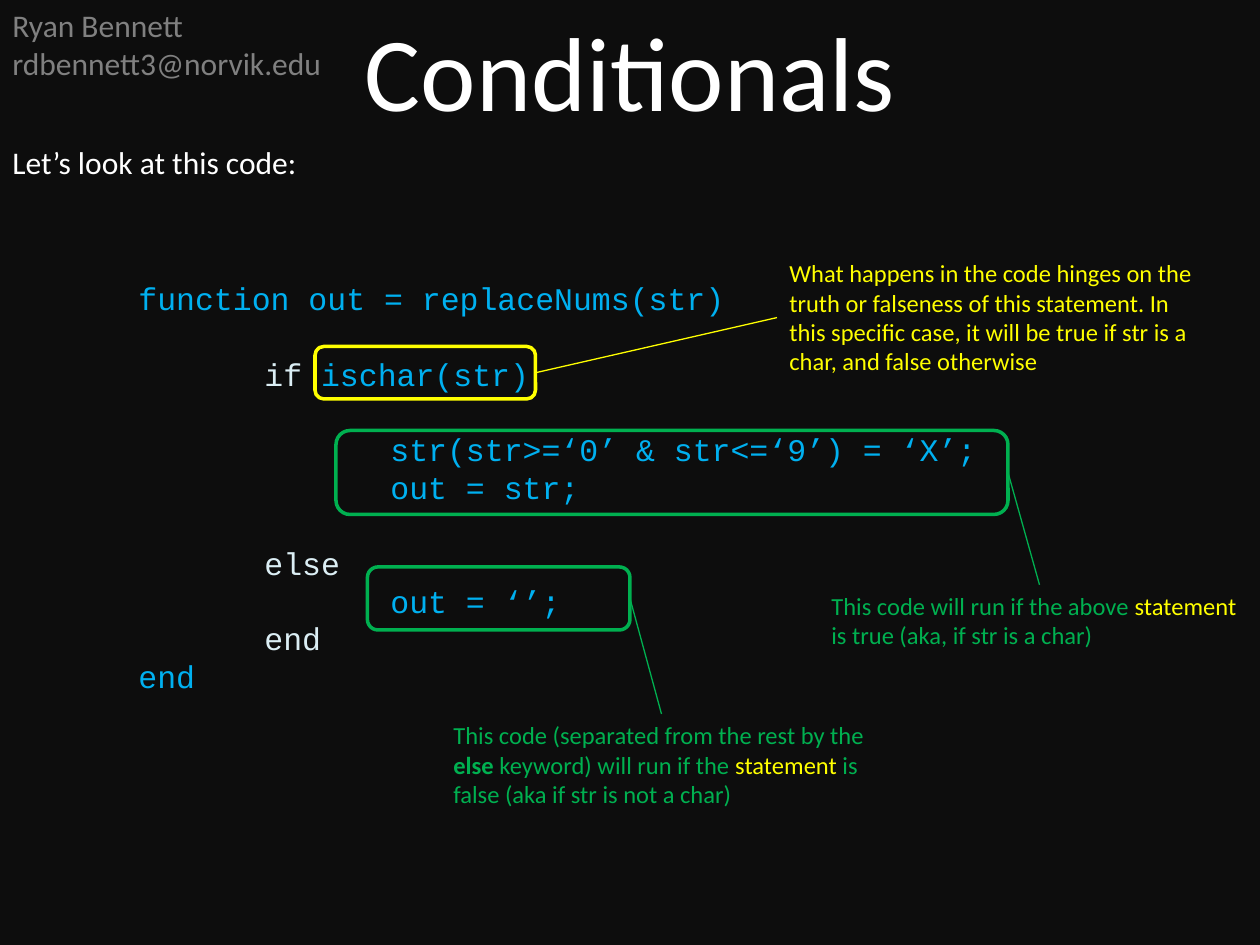
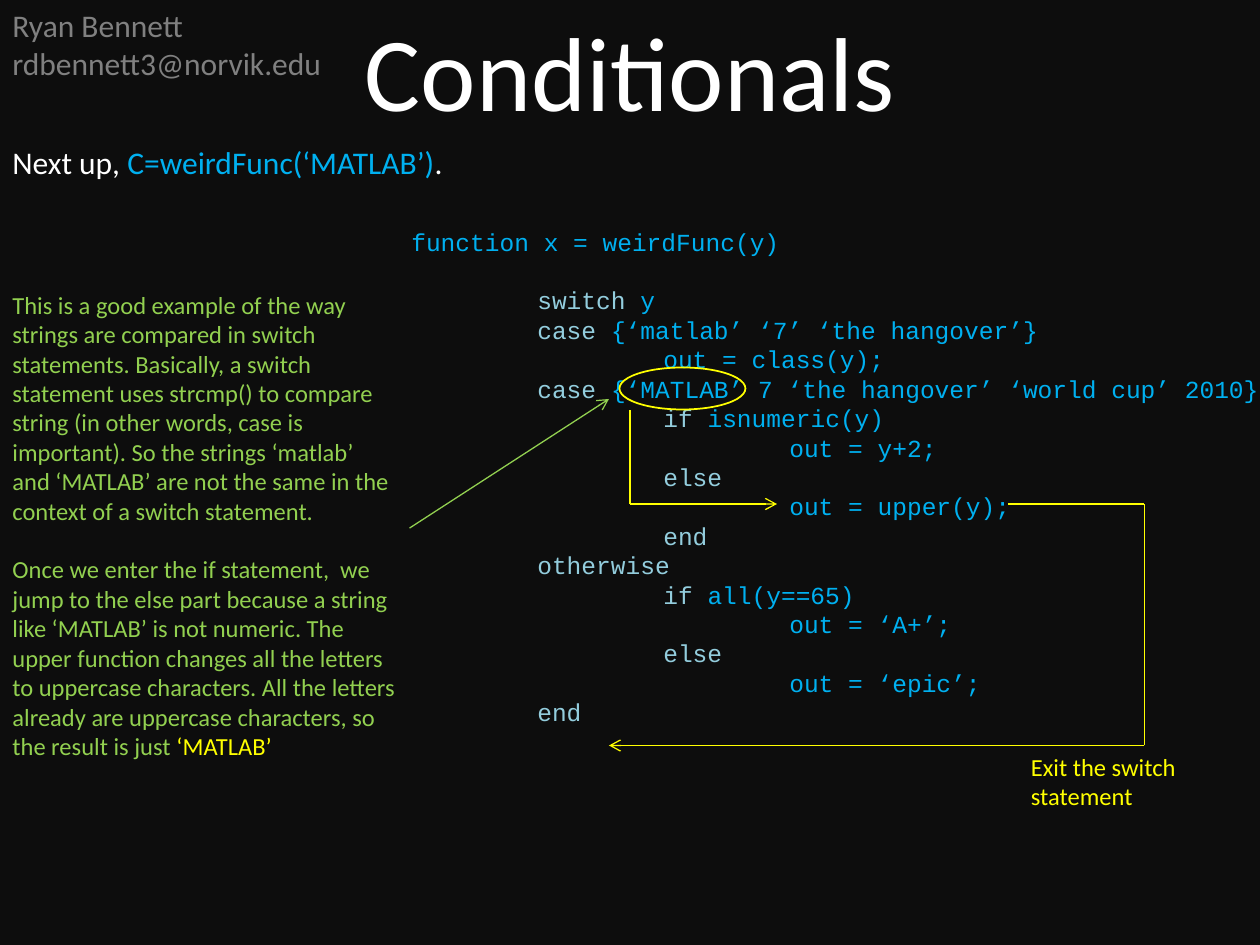
from dataclasses import dataclass

from lxml import etree
from pptx import Presentation
from pptx import util as u
from pptx.dml.color import RGBColor
from pptx.enum import shapes, text
from pptx.oxml import ns

# Grid: 12 columns and 12 rows to the inch
COLS, ROWS = 120, 90
CELL = u.Inches(10) / COLS

# Colours
BACKGROUND = RGBColor(0x0D, 0x0D, 0x0D)
GREY = RGBColor(0x80, 0x80, 0x80)
WHITE = RGBColor(0xFF, 0xFF, 0xFF)
YELLOW = RGBColor(0xFF, 0xFF, 0x00)
GREEN = RGBColor(0x00, 0xB0, 0x50)
LIME = RGBColor(0x92, 0xD0, 0x50)
CODE_BLUE = RGBColor(0x00, 0xB0, 0xF0)
PALE_BLUE = RGBColor(0xDB, 0xEE, 0xF4)
SOFT_BLUE = RGBColor(0x93, 0xCD, 0xDD)

BODY, MONO = "Calibri", "Courier New"
LINE_HEIGHT = 1.2
TAB_STEP, TAB_DEPTH = 12, 3  # columns per code level, deepest level


@dataclass
class Run:
    text: str
    color: RGBColor
    bold: bool = False


@dataclass
class Para:
    runs: list[Run]
    gap: bool = False  # leaves one line free above


@dataclass
class CodeLine:
    depth: int
    keyword: str = ""
    code: str = ""
    gap: bool = False


@dataclass
class Frame:
    kind: shapes.MSO_SHAPE
    box: tuple[float, float, float, float]
    color: RGBColor
    weight: float


@dataclass
class Line:
    start: tuple[float, float]
    end: tuple[float, float]
    color: RGBColor
    arrow: bool = False


@dataclass
class Note:
    box: tuple[float, float, float, float]
    paras: list[Para]


def cells(*values: float) -> list[int]:
    return [u.Emu(round(v * CELL)) for v in values]


def add_text(s, box, paras: list[Para], size: int = 14, font: str = BODY,
             align=text.PP_ALIGN.LEFT):
    tf = s.shapes.add_textbox(*cells(*box)).text_frame
    tf.word_wrap = True
    tf.auto_size = text.MSO_AUTO_SIZE.SHAPE_TO_FIT_TEXT
    for i, para in enumerate(paras):
        p = tf.paragraphs[0] if i == 0 else tf.add_paragraph()
        p.alignment = align
        if para.gap:
            p.space_before = u.Pt(size * LINE_HEIGHT)
        for run in para.runs:
            r = p.add_run()
            r.text = run.text
            r.font.color.rgb = run.color
            formats = {"name": font, "size": u.Pt(size), "bold": run.bold}
            for name, value in formats.items():
                setattr(r.font, name, value)
    return tf


def set_tab_stops(p) -> None:
    tabs = etree.SubElement(p._p.get_or_add_pPr(), ns.qn("a:tabLst"))
    for stop in cells(*(TAB_STEP * level for level in range(1, TAB_DEPTH + 1))):
        etree.SubElement(tabs, ns.qn("a:tab"), pos=str(int(stop)), algn="l")


def add_code(s, box, lines: list[CodeLine], size: int, keyword_color: RGBColor) -> None:
    paras = []
    for line in lines:
        parts = [Run("\t" * line.depth, CODE_BLUE), Run(line.keyword, keyword_color),
                 Run(line.code, CODE_BLUE)]
        paras.append(Para([part for part in parts if part.text], line.gap))
    for p in add_text(s, box, paras, size, MONO).paragraphs:
        set_tab_stops(p)


def add_frame(s, frame: Frame) -> None:
    sp = s.shapes.add_shape(frame.kind, *cells(*frame.box))
    sp.shadow.inherit = False
    sp.fill.background()
    sp.line.color.rgb = frame.color
    sp.line.width = u.Pt(frame.weight)


def add_line(s, line: Line) -> None:
    c = s.shapes.add_connector(shapes.MSO_CONNECTOR.STRAIGHT,
                               *cells(*line.start, *line.end))
    c.line.color.rgb = line.color
    c.line.width = u.Pt(0.75)
    if line.arrow:
        ln = c.line._get_or_add_ln()
        etree.SubElement(ln, ns.qn("a:tailEnd"), type="arrow")
    etree.SubElement(c._element.spPr, ns.qn("a:effectLst"))


def add_base(prs, intro: list[Run]):
    """Slide with background, author, title and opening sentence."""
    s = prs.slides.add_slide(prs.slide_layouts[6])
    s.background.fill.solid()
    s.background.fill.fore_color.rgb = BACKGROUND
    author = ["Ryan Bennett", "rdbennett3@norvik.edu"]
    add_text(s, (0, 0, 50, 8.5), [Para([Run(t, GREY)]) for t in author], 18)
    add_text(s, (0, 0, COLS, 13.3), [Para([Run("Conditionals", WHITE)])], 60,
             align=text.PP_ALIGN.CENTER)
    add_text(s, (0, 13, COLS, 4.8), [Para(intro)], 18)
    return s


def add_annotations(s, items: list[Frame | Line | Note]) -> None:
    for item in items:
        if isinstance(item, Frame):
            add_frame(s, item)
        elif isinstance(item, Line):
            add_line(s, item)
        else:
            add_text(s, item.box, item.paras)


# Slide 1: if / else
REPLACE_NUMS = [
    CodeLine(1, code="function out = replaceNums(str)"),
    CodeLine(2, "if ", "ischar(str)", gap=True),
    CodeLine(3, code="str(str>=‘0’ & str<=‘9’) = ‘X’;", gap=True),
    CodeLine(3, code="out = str;"),
    CodeLine(2, "else", gap=True),
    CodeLine(3, code="out = ‘’;"),
    CodeLine(2, "end"),
    CodeLine(1, code="end"),
]
ROUNDED = shapes.MSO_SHAPE.ROUNDED_RECTANGLE
IF_NOTES = [
    # Condition
    Frame(ROUNDED, (30, 33, 21, 5), YELLOW, 2),
    Line((51, 35.5), (74, 30.25), YELLOW),
    Note((74, 24, 42, 12.5), [Para([Run(
        "What happens in the code hinges on the truth or falseness of this statement. "
        "In this specific case, it will be true if str is a char, and false otherwise",
        YELLOW)])]),
    # True branch
    Frame(ROUNDED, (32, 41, 64, 8), GREEN, 2),
    Line((96, 45), (99, 55.7), GREEN),
    Note((78, 55.7, 42, 6.9), [Para([
        Run("This code will run if the above ", GREEN), Run("statement", YELLOW),
        Run(" is true (aka, if str is a char)", GREEN)])]),
    # False branch
    Frame(ROUNDED, (35, 54, 25, 6), GREEN, 2),
    Line((60, 57), (63, 68), GREEN),
    Note((42, 68, 42, 9.7), [Para([
        Run("This code (separated from the rest by the ", GREEN),
        Run("else ", GREEN, bold=True), Run("keyword) will run if the ", GREEN),
        Run("statement", YELLOW),
        Run(" is false (aka if str is not a char)", GREEN)])]),
]

# Slide 2: switch
WEIRD_FUNC = [
    CodeLine(0, code="function x = weirdFunc(y)"),
    CodeLine(1, "switch", " y", gap=True),
    CodeLine(1, "case", " {‘matlab’ ‘7’ ‘the hangover’}"),
    CodeLine(2, code="out = class(y);"),
    CodeLine(1, "case", " {‘MATLAB’ 7 ‘the hangover’ ‘world cup’ 2010}"),
    CodeLine(2, "if ", "isnumeric(y)"),
    CodeLine(3, code="out = y+2;"),
    CodeLine(2, "else"),
    CodeLine(3, code="out = upper(y);"),
    CodeLine(2, "end"),
    CodeLine(1, "otherwise"),
    CodeLine(2, "if", " all(y==65)"),
    CodeLine(3, code="out = ‘A+’;"),
    CodeLine(2, "else"),
    CodeLine(3, code="out = ‘epic’;"),
    CodeLine(1, "end"),
]
SWITCH_NOTES = [
    Note((0, 27, 39, 46.4), [
        Para([Run(
            "This is a good example of the way strings are compared in switch statements. "
            "Basically, a switch statement uses strcmp() to compare string (in other words, "
            "case is important). So the strings ‘matlab’ and ‘MATLAB’ are not the same in "
            "the context of a switch statement.", LIME)]),
        Para([Run(
            "Once we enter the if statement,  we jump to the else part because a string "
            "like ‘MATLAB’ is not numeric. The upper function changes all the letters to "
            "uppercase characters. All the letters already are uppercase characters, so "
            "the result is just ", LIME), Run("‘MATLAB’", YELLOW)], gap=True)]),
    # Matching case
    Line((39, 50.3), (58, 38), LIME, arrow=True),
    Frame(shapes.MSO_SHAPE.OVAL, (59, 35, 12, 4), YELLOW, 1),
    # Way to the else part
    Line((60, 48), (60, 39), YELLOW),
    Line((60, 48), (74, 48), YELLOW, arrow=True),
    # Way out of the switch
    Line((96, 48), (109, 48), YELLOW),
    Line((109, 71), (109, 48), YELLOW),
    Line((109, 71), (58, 71), YELLOW, arrow=True),
    Note((97, 71, 23, 6.9), [Para([Run("Exit the switch statement", YELLOW)])]),
]


def main() -> None:
    prs = Presentation()
    prs.slide_width, prs.slide_height = cells(COLS, ROWS)

    s = add_base(prs, [Run("Let’s look at this code:", WHITE)])
    add_code(s, (0, 26, 101, 44.9), REPLACE_NUMS, 18, PALE_BLUE)
    add_annotations(s, IF_NOTES)

    s = add_base(prs, [Run("Next up, ", WHITE), Run("C=weirdFunc(‘MATLAB’)", CODE_BLUE),
                       Run(".", WHITE)])
    add_code(s, (38, 21, 85, 52.1), WEIRD_FUNC, 14, SOFT_BLUE)
    add_annotations(s, SWITCH_NOTES)

    prs.save("out.pptx")


if __name__ == "__main__":
    main()
